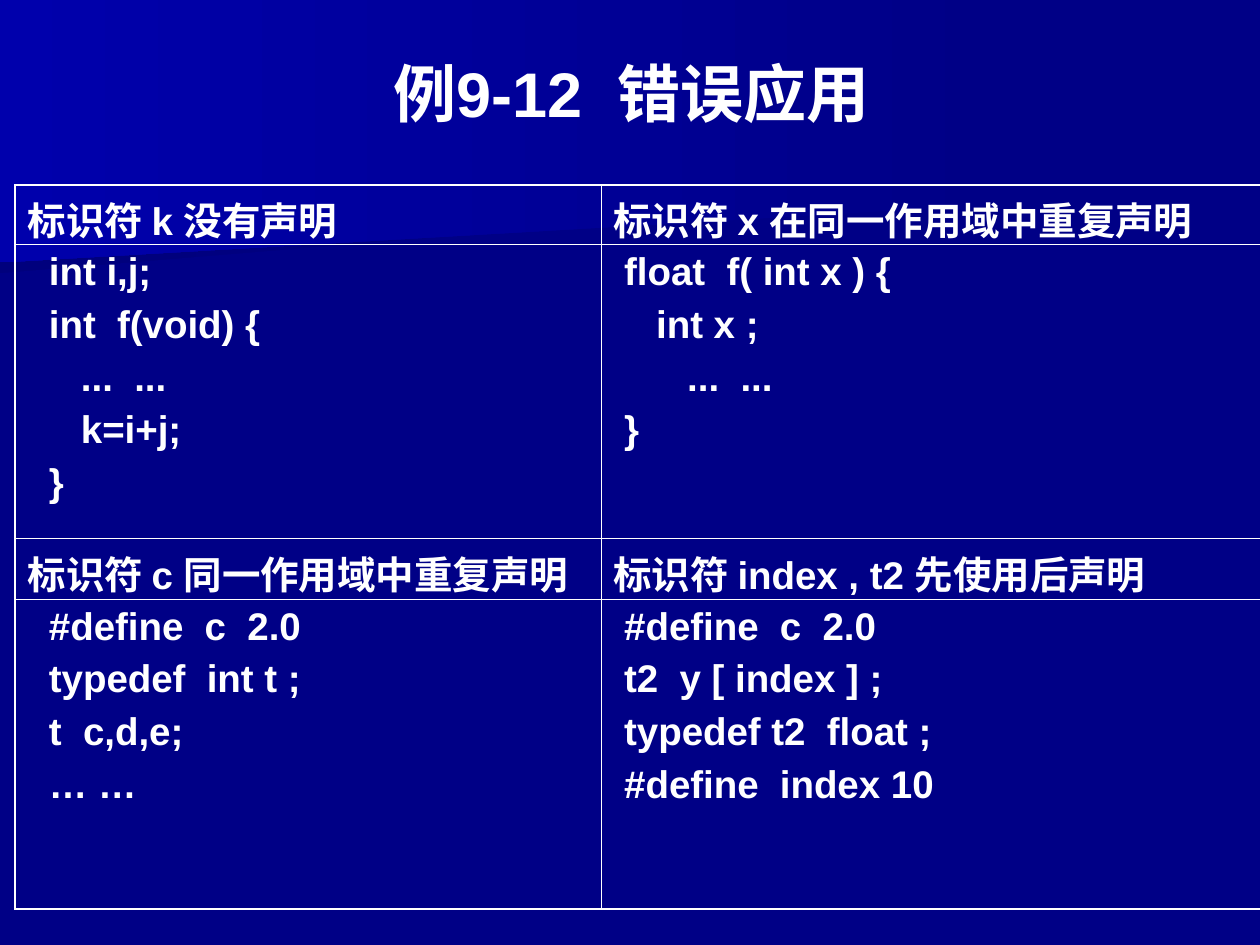
"""Build the slide on wrongly declared identifiers in C."""
from lxml import etree
from pptx import Presentation
from pptx.dml.color import RGBColor
from pptx.enum.text import MSO_ANCHOR, PP_ALIGN
from pptx.oxml.ns import qn
from pptx.util import Pt

CENTER = PP_ALIGN.CENTER
MIDDLE = MSO_ANCHOR.MIDDLE
WHITE = RGBColor(0xFF, 0xFF, 0xFF)
NAVY = RGBColor(0x00, 0x00, 0x86)
DARK = RGBColor(0x00, 0x00, 0x7D)
BRIGHT = RGBColor(0x00, 0x00, 0xAC)

TITLE = "例9-12  错误应用"
COLS = [334.8, 377.3]
ROWS = [34, 168, 34.5, 177]
CELLS = [
    [["标识符 k 没有声明"], ["标识符 x 在同一作用域中重复声明"]],
    [
        ["  int i,j;", "  int  f(void) {", "     ...  ...", "     k=i+j;", "  }"],
        [" float  f( int x ) {", "    int x ;", "\t ...  ...", " }"],
    ],
    [["标识符 c 同一作用域中重复声明"], ["标识符 index , t2 先使用后声明"]],
    [
        ["  #define  c  2.0", "  typedef  int t ;", "  t  c,d,e;", "  … …"],
        [" #define  c  2.0", " t2  y [ index ] ;", " typedef t2  float ;",
         " #define  index 10"],
    ],
]


class Deck:
    """Hold the text style and the current slide."""

    def __init__(self, slide):
        self.slide = slide
        self.style = {"name": "Arial", "bold": True}
        self.thick, self.thin = Pt(1.08), Pt(0.45)
        fill = slide.background.fill
        fill.solid()
        fill.fore_color.rgb = NAVY

    def text(self, frame, lines, size, **form):
        frame.word_wrap = True
        for i, line in enumerate(lines):
            para = frame.paragraphs[0] if i == 0 else frame.add_paragraph()
            para.text = line
            for key, val in form.items():
                setattr(para, key, val)
            if i:
                para.space_before = Pt(5.5)
            for key, val in {**self.style, "size": Pt(size)}.items():
                setattr(para.font, key, val)
            para.font.color.rgb = WHITE

    def band(self, points, left):
        start, *rest = points
        build = self.slide.shapes.build_freeform(*start, scale=Pt(1))
        build.add_line_segments(rest, close=True)
        shape = build.convert_to_shape()
        shape.shadow.inherit = False
        shape.line.fill.background()
        shape.fill.gradient()
        shape.fill.gradient_angle = 180
        for stop, (pos, color) in zip(shape.fill.gradient_stops, [(0, NAVY), (1, left)]):
            stop.position = pos
            stop.color.rgb = color

    def title(self, text, box):
        shape = self.slide.shapes.add_textbox(*map(Pt, box))
        shape.text_frame.vertical_anchor = MIDDLE
        self.text(shape.text_frame, [text], 36, alignment=CENTER)

    def edge(self, cell, outer):
        props = cell._tc.get_or_add_tcPr()
        for i, (side, thick) in enumerate(outer.items()):
            line = etree.Element(qn("a:ln" + side), w=str(self.thick if thick else self.thin))
            fill = etree.SubElement(line, qn("a:solidFill"))
            etree.SubElement(fill, qn("a:srgbClr"), val=str(WHITE))
            props.insert(i, line)

    def table(self, cells, left, top, cols, rows):
        box = map(Pt, (left, top, sum(cols), sum(rows)))
        table = self.slide.shapes.add_table(len(rows), len(cols), *box).table
        table.first_row = table.horz_banding = False
        for col, width in zip(table.columns, cols):
            col.width = Pt(width)
        for r, (row, height) in enumerate(zip(cells, rows)):
            table.rows[r].height = Pt(height)
            for c, lines in enumerate(row):
                cell = table.cell(r, c)
                cell.fill.background()
                self.text(cell.text_frame, lines, 22)
                self.edge(cell, {"L": c == 0, "R": c == len(cols) - 1,
                                 "T": r == 0, "B": r == len(rows) - 1})


def main():
    show = Presentation()
    show.slide_width, show.slide_height = Pt(720), Pt(540)
    deck = Deck(show.slides.add_slide(show.slide_layouts[6]))
    deck.band([(560, 110), (0, 156), (0, 73), (561, 73), (560, 92)], DARK)
    deck.band([(570, 117), (0, 150), (0, 0), (570, 0)], BRIGHT)
    deck.title(TITLE, (36.7, 20.2, 648, 65.5))
    deck.table(CELLS, 8.6, 105.8, COLS, ROWS)
    show.save("out.pptx")


if __name__ == "__main__":
    main()
